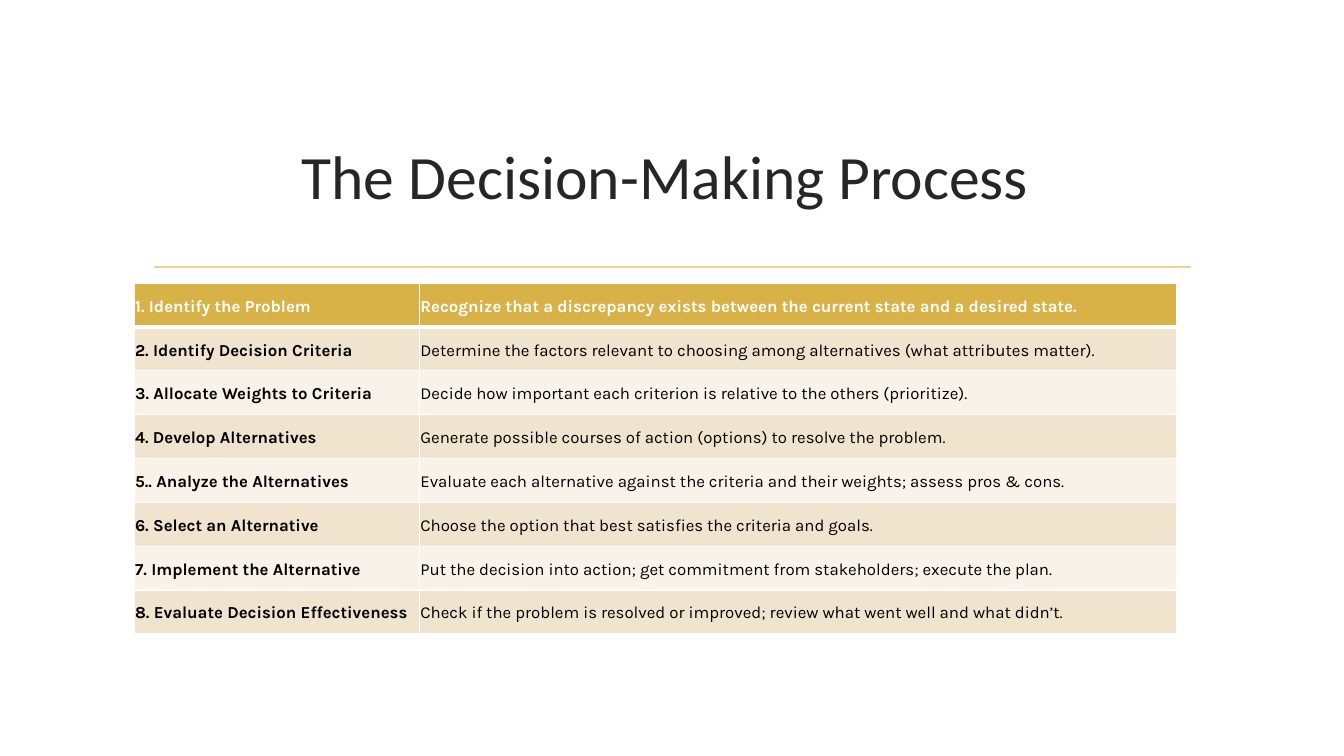
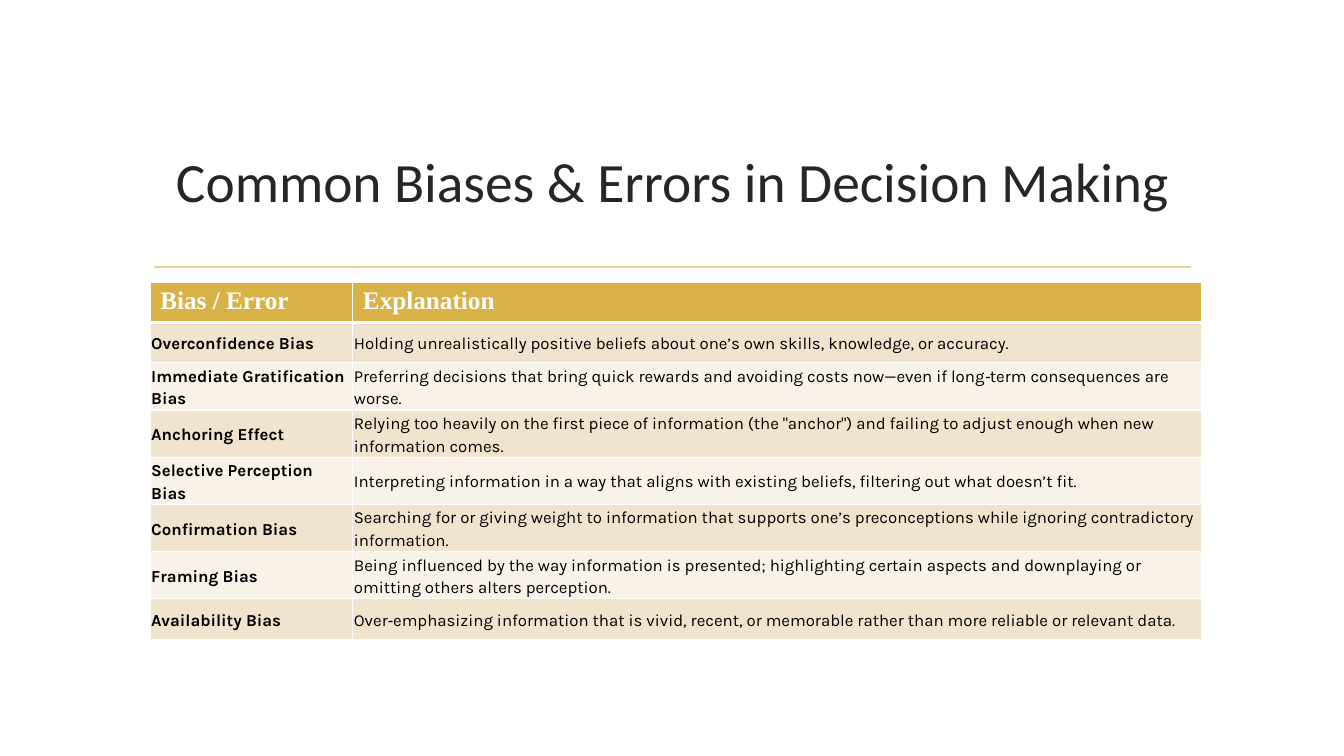
import pptx
import pptx.util
import pptx.dml.color
import pptx.enum.text
import pptx.enum.shapes
from lxml import etree

Inches, Pt = pptx.util.Inches, pptx.util.Pt
ALIGN, ANCHOR = pptx.enum.text.PP_ALIGN, pptx.enum.text.MSO_ANCHOR

# Content
STEPS = [
    ("1. Identify the Problem",
     "Recognize that a discrepancy exists between the current state and a desired state."),
    ("2. Identify Decision Criteria",
     "Determine the factors relevant to choosing among alternatives (what attributes matter)."),
    ("3. Allocate Weights to Criteria",
     "Decide how important each criterion is relative to the others (prioritize)."),
    ("4. Develop Alternatives",
     "Generate possible courses of action (options) to resolve the problem."),
    ("5.. Analyze the Alternatives",
     "Evaluate each alternative against the criteria and their weights; assess pros & cons."),
    ("6. Select an Alternative",
     "Choose the option that best satisfies the criteria and goals."),
    ("7. Implement the Alternative",
     "Put the decision into action; get commitment from stakeholders; execute the plan."),
    ("8. Evaluate Decision Effectiveness",
     "Check if the problem is resolved or improved; review what went well and what didn’t."),
]
BIASES = [
    ("Bias / Error", "Explanation"),
    ("Overconfidence Bias",
     "Holding unrealistically positive beliefs about one’s own skills, knowledge, or accuracy."),
    ("Immediate Gratification Bias",
     "Preferring decisions that bring quick rewards and avoiding costs now—even if "
     "long‑term consequences are worse."),
    ("Anchoring Effect",
     "Relying too heavily on the first piece of information (the \"anchor\") and failing "
     "to adjust enough when new information comes."),
    ("Selective Perception Bias",
     "Interpreting information in a way that aligns with existing beliefs, filtering out "
     "what doesn’t fit."),
    ("Confirmation Bias",
     "Searching for or giving weight to information that supports one’s preconceptions "
     "while ignoring contradictory information."),
    ("Framing Bias",
     "Being influenced by the way information is presented; highlighting certain aspects "
     "and downplaying or omitting others alters perception."),
    ("Availability Bias",
     "Over‑emphasizing information that is vivid, recent, or memorable rather than more "
     "reliable or relevant data."),
]
SLIDES = [
    dict(title="The Decision-Making Process ", size=44, top=0.96, rows=STEPS,
         at=(1.33, 2.81), cols=(2.83, 7.51), row=0.435, plain=False),
    dict(title="Common Biases & Errors in Decision Making", size=39.6, top=1.07, rows=BIASES,
         at=(1.49, 2.8), cols=(2.01, 8.42), row=0.4, plain=True),
]

# Shared look
GOLD, RULE, INK, WHITE, BLACK = "D9B247", "E8D191", "262626", "FFFFFF", "000000"
BANDS = "F8F2E9", "F1E4CF"
TITLE_LEFT, TITLE_WIDTH, TITLE_END = 1.42, 10.5, 2.5
RULE_LEFT, RULE_RIGHT, RULE_TOP = 1.53, 11.81, 2.65
INSET = 0.01


def color(code):
    return pptx.dml.color.RGBColor.from_string(code)


def write(frame, text, font="Karla", size=12, ink=BLACK, bold=False,
          align=ALIGN.LEFT, line=None, after=None):
    par = frame.paragraphs[0]
    par.alignment = align
    if line:
        par.line_spacing = line
    if after:
        par.space_after = Pt(after)
    run = par.add_run()
    run.text = text
    run.font.name, run.font.size, run.font.bold = font, Pt(size), bold
    run.font.color.rgb = color(ink)


def border(cell, **widths):
    """Put white edges before the fill; the schema wants L, R, T, B."""
    props = cell._tc.get_or_add_tcPr()
    for spot, side in enumerate("LRTB"):
        edge = etree.fromstring(
            '<a:ln%s xmlns:a="http://schemas.openxmlformats.org/drawingml/2006/main" w="%d">'
            '<a:solidFill><a:srgbClr val="%s"/></a:solidFill></a:ln%s>'
            % (side, Pt(widths.get(side, 1)), WHITE, side))
        props.insert(spot, edge)


def add_rule(slide, layout):
    """Draw the gold rule once and keep it on the layout."""
    rule = slide.shapes.add_connector(
        pptx.enum.shapes.MSO_CONNECTOR.STRAIGHT, Inches(RULE_LEFT), Inches(RULE_TOP),
        Inches(RULE_RIGHT), Inches(RULE_TOP))
    rule.line.color.rgb = color(RULE)
    rule.line.width = Pt(1.25)
    etree.SubElement(rule._element.spPr, pptx.oxml.ns.qn("a:effectLst"))
    layout.shapes.element.append(rule._element)


def add_title(slide, text, size, top):
    title = slide.shapes.title
    title.left, title.top = Inches(TITLE_LEFT), Inches(top)
    title.width, title.height = Inches(TITLE_WIDTH), Inches(TITLE_END - top)
    frame = title.text_frame
    frame.vertical_anchor = ANCHOR.MIDDLE
    frame.auto_size = pptx.enum.text.MSO_AUTO_SIZE.NONE
    write(frame, text, font="Calibri", size=size, ink=INK, align=ALIGN.CENTER)


def add_grid(slide, rows, at, cols, row, plain):
    """A plain head keeps default cell margins and a serif face."""
    left, top = at
    table = slide.shapes.add_table(
        len(rows), len(cols), Inches(left), Inches(top),
        Inches(sum(cols)), Inches(row * len(rows))).table
    table.horz_banding = False
    for col, width in zip(table.columns, cols):
        col.width = Inches(width)
    for r, texts in enumerate(rows):
        table.rows[r].height = Inches(row)
        head = r == 0
        for c, text in enumerate(texts):
            cell = table.cell(r, c)
            cell.fill.solid()
            cell.fill.fore_color.rgb = color(GOLD if head else BANDS[r % 2])
            border(cell, T=3 if r == 1 else 1, B=3 if head else 1)
            ink = WHITE if head else BLACK
            if head and plain:
                write(cell.text_frame, text, font="Times New Roman", size=18,
                      ink=ink, bold=True)
                continue
            cell.vertical_anchor = ANCHOR.MIDDLE
            cell.margin_left = cell.margin_right = Inches(INSET)
            cell.margin_top = cell.margin_bottom = Inches(INSET)
            write(cell.text_frame, text, ink=ink, bold=head or c == 0, line=1.15, after=8)


def main():
    deck = pptx.Presentation()
    deck.slide_width, deck.slide_height = Inches(13.33), Inches(7.5)
    layout = deck.slide_layouts[5]
    for n, page in enumerate(SLIDES):
        slide = deck.slides.add_slide(layout)
        if n == 0:
            add_rule(slide, layout)
        add_title(slide, page["title"], page["size"], page["top"])
        add_grid(slide, page["rows"], page["at"], page["cols"], page["row"], page["plain"])
    deck.save("out.pptx")


if __name__ == "__main__":
    main()
